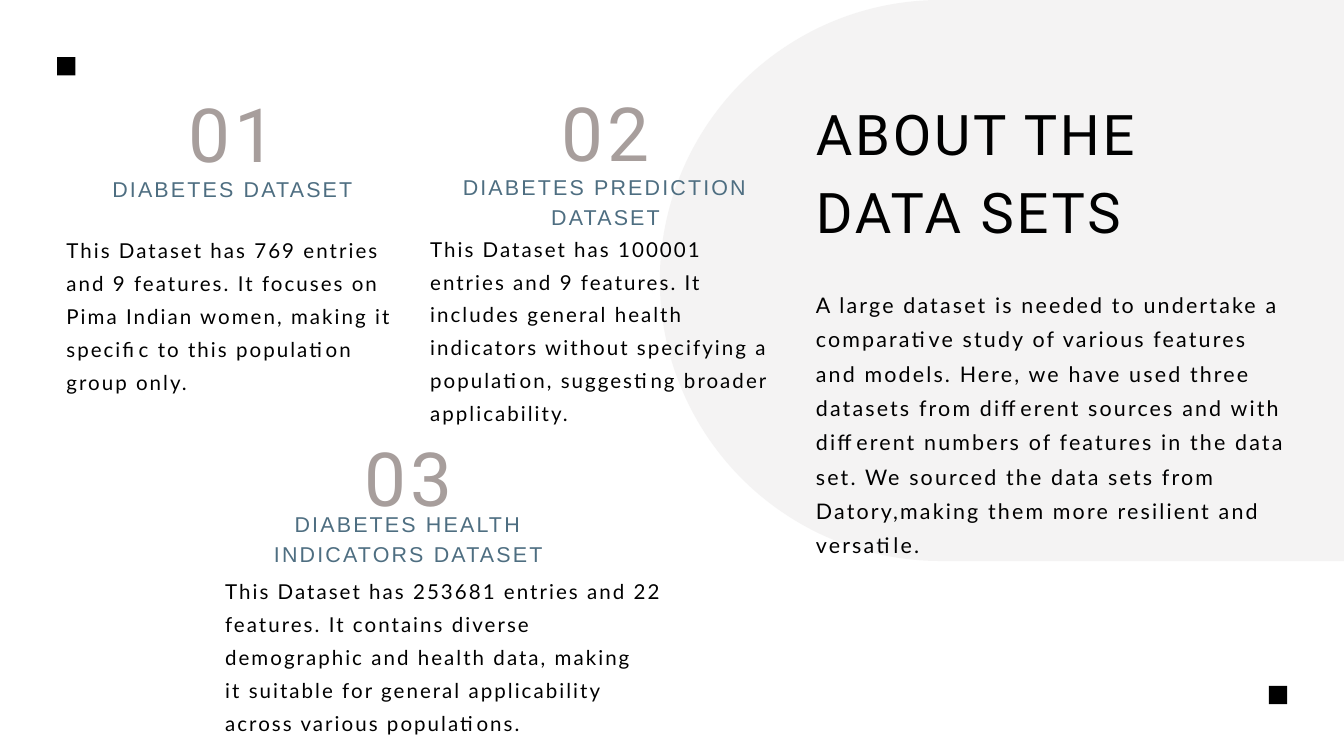
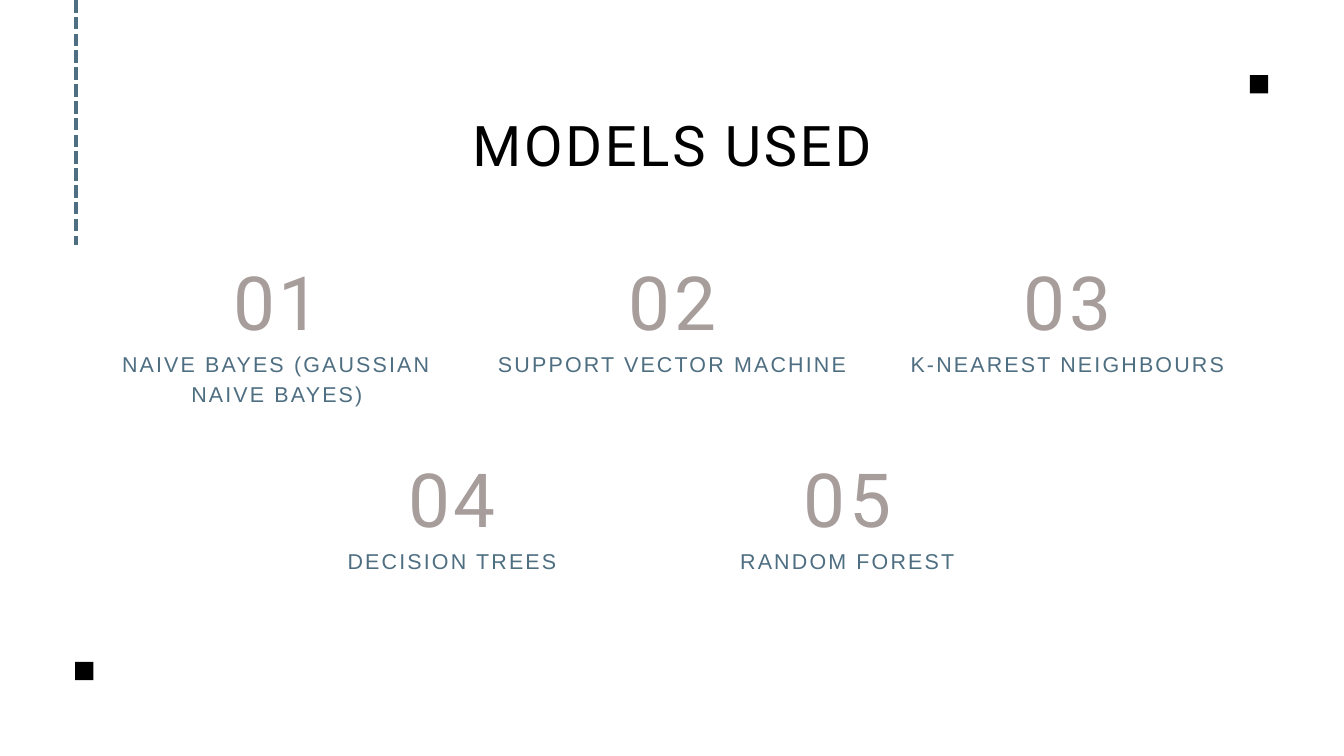
import pptx
import pptx.dml.color
import pptx.enum.dml
import pptx.enum.shapes
import pptx.enum.text
import pptx.oxml.ns
import pptx.util
from lxml import etree

Cm = pptx.util.Cm
Pt = pptx.util.Pt
colour = pptx.dml.color.RGBColor.from_string
LEFT = pptx.enum.text.PP_ALIGN.LEFT
CENTER = pptx.enum.text.PP_ALIGN.CENTER
SHAPES = pptx.enum.shapes.MSO_SHAPE

BLACK, TAUPE, BLUE, PALE = "000000", "A79E9C", "4E6E81", "F2F1F1"

# font, size, colour, line height and letter spacing in points
STYLES = {
    "title": ("Roboto", 60, BLACK, 84, 3),
    "number": ("Roboto", 80, TAUPE, 112, 4),
    "heading": ("Arial", 23, BLUE, 32.2, 2.3),
    "intro": ("Lato", 23, BLACK, 36.8, 2.3),
    "body": ("Lato", 22, BLACK, 35.2, 2.2),
}
COLUMN_WIDTH = 13.26
MARKER_SIZE = 0.69


def add_text(slide, style, text, left, top, width, height, align=LEFT):
    font_name, size, text_colour, line_height, letter_spacing = STYLES[style]
    box = slide.shapes.add_textbox(Cm(left), Cm(top), Cm(width), Cm(height))
    frame = box.text_frame
    frame.margin_left = frame.margin_right = frame.margin_top = frame.margin_bottom = 0
    frame.word_wrap = True
    frame.text = text
    for paragraph in frame.paragraphs:
        paragraph.alignment = align
        paragraph.line_spacing = Pt(line_height)
        for run in paragraph.runs:
            run.font.name = font_name
            run.font.size = Pt(size)
            run.font.color.rgb = colour(text_colour)
            run.font._element.set("spc", str(round(letter_spacing * 100)))


def add_filled(slide, kind, fill_colour, left, top, width, height):
    shape = slide.shapes.add_shape(kind, Cm(left), Cm(top), Cm(width), Cm(height))
    shape.shadow.inherit = False
    shape.fill.solid()
    shape.fill.fore_color.rgb = colour(fill_colour)
    shape.line.fill.background()
    return shape


presentation = pptx.Presentation()
presentation.slide_width = Cm(50.8)
presentation.slide_height = Cm(28.58)
blank_layout = presentation.slide_layouts[6]

# Slide 1: the data sets
slide = presentation.slides.add_slide(blank_layout)
pill = add_filled(slide, SHAPES.ROUNDED_RECTANGLE, PALE, 24.94, 0, 37.08, 21.21)
pill.adjustments[0] = 0.5
pill_colour = pill.fill._xPr.find(".//" + pptx.oxml.ns.qn("a:srgbClr"))
etree.SubElement(pill_colour, pptx.oxml.ns.qn("a:alpha"), val="80000")

add_text(slide, "title", "ABOUT THE\nDATA SETS", 30.84, 3.33, 17.81, 5.99)
add_text(
    slide, "intro",
    "A large dataset is needed to undertake a comparative study of various features "
    "and models. Here, we have used three datasets from different sources and with "
    "different numbers of features in the data set. We sourced the data sets from "
    "Datory,making them more resilient and versatile.",
    30.84, 10.72, 17.81, 10.31)
for left, top in [(2.16, 2.16), (47.96, 25.93)]:
    add_filled(slide, SHAPES.RECTANGLE, BLACK, left, top, MARKER_SIZE, MARKER_SIZE)

# left, number top, heading top, heading, body left, body top, body width, body
datasets = [
    (2.16, 2.77, 6.5, "DIABETES DATASET", 2.51, 8.69, COLUMN_WIDTH,
     "This Dataset has 769 entries and 9 features. It focuses on Pima Indian women, "
     "making it specific to this population group only."),
    (16.26, 2.72, 6.43, "DIABETES PREDICTION DATASET", 16.26, 8.64, COLUMN_WIDTH,
     "This Dataset has 100001 entries and 9 features. It includes general health "
     "indicators without specifying a\n"
     "population, suggesting broader applicability."),
    (8.81, 15.77, 19.15, "DIABETES HEALTH INDICATORS DATASET", 8.51, 21.59, 17.07,
     "This Dataset has 253681 entries and 22 features. It contains diverse "
     "demographic and health data, making\n"
     "it suitable for general applicability across various populations."),
]
for index, dataset in enumerate(datasets, start=1):
    left, number_top, heading_top, heading, body_left, body_top, body_width, body = dataset
    add_text(slide, "number", f"{index:02}", left, number_top, COLUMN_WIDTH, 3.94, CENTER)
    add_text(slide, "heading", heading, left, heading_top, COLUMN_WIDTH, 2.18, CENTER)
    add_text(slide, "body", body, body_left, body_top, body_width, 6.05)

# Slide 2: the models
slide = presentation.slides.add_slide(blank_layout)
add_text(slide, "title", "MODELS USED", 3.84, 3.76, 43.13, 3.02, CENTER)

model_rows = [
    (3.84, 9.12, ["NAIVE BAYES (GAUSSIAN NAIVE BAYES)", "SUPPORT VECTOR MACHINE",
                  "K-NEAREST NEIGHBOURS"]),
    (10.46, 16.56, ["DECISION TREES", "RANDOM FOREST"]),
]
column_step = 14.94
model_number = 0
for row_left, top, models in model_rows:
    for column, model in enumerate(models):
        model_number += 1
        left = row_left + column * column_step
        add_text(slide, "number", f"{model_number:02}", left, top, COLUMN_WIDTH, 3.94, CENTER)
        add_text(slide, "heading", model, left, top + 3.99, COLUMN_WIDTH, 1.09, CENTER)

for left, top in [(2.84, 25.02), (47.24, 2.84)]:
    add_filled(slide, SHAPES.RECTANGLE, BLACK, left, top, MARKER_SIZE, MARKER_SIZE)

dashed_line = slide.shapes.add_connector(
    pptx.enum.shapes.MSO_CONNECTOR.STRAIGHT, Cm(2.87), Cm(0), Cm(2.87), Cm(9.27))
dashed_line.line.color.rgb = colour(BLUE)
dashed_line.line.width = Pt(4.5)
dashed_line.line.dash_style = pptx.enum.dml.MSO_LINE.SQUARE_DOT
etree.SubElement(dashed_line._element.spPr, pptx.oxml.ns.qn("a:effectLst"))

presentation.save("out.pptx")
